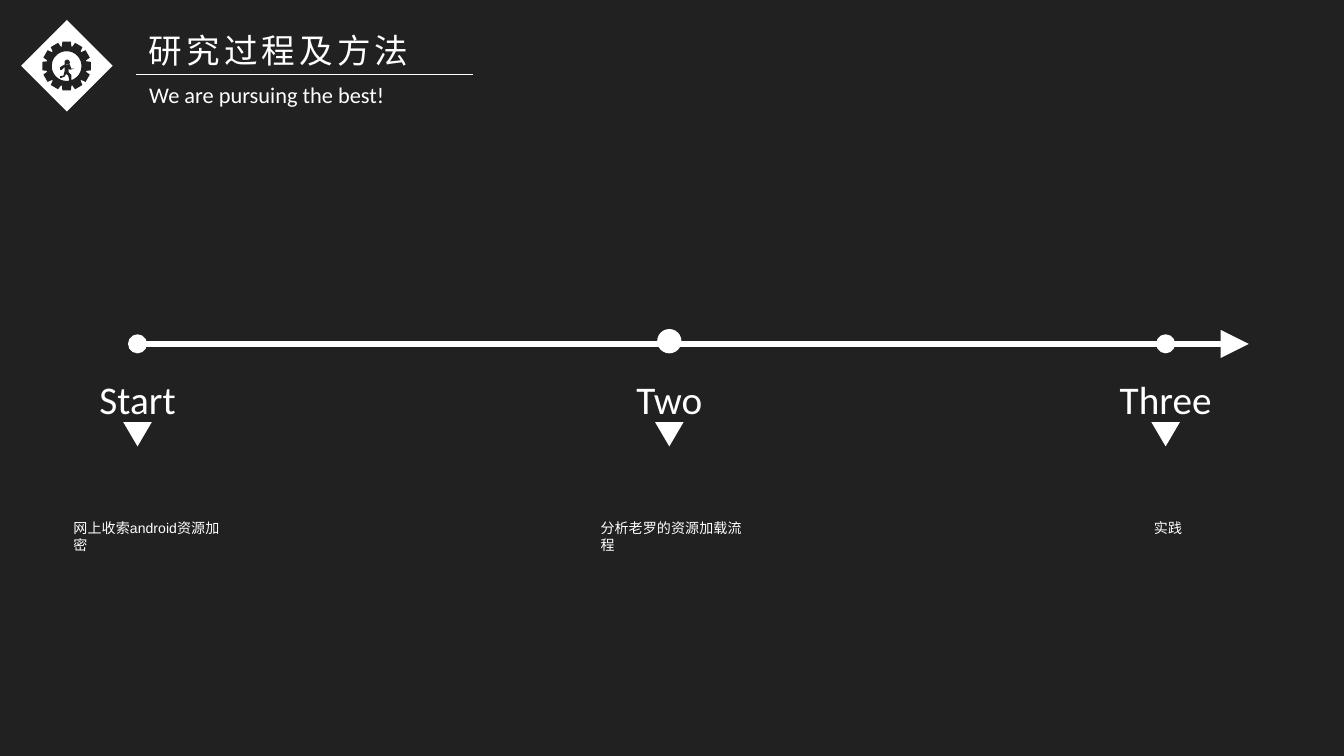
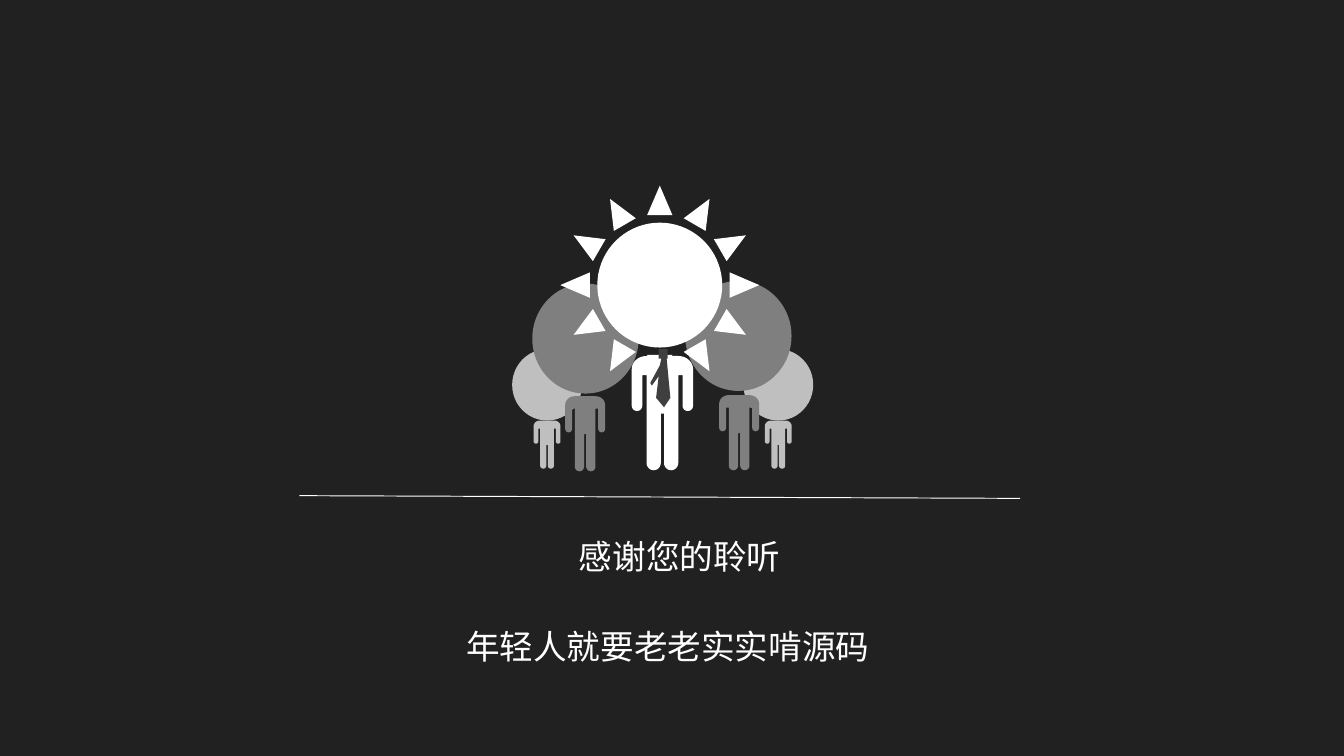
"""Builds a timeline slide and a closing slide in white on charcoal."""
from math import cos, pi, sin

from lxml import etree
from pptx import Presentation
from pptx.dml.color import RGBColor
from pptx.enum.shapes import MSO_CONNECTOR, MSO_SHAPE
from pptx.enum.text import MSO_AUTO_SIZE, PP_ALIGN
from pptx.oxml.ns import qn
from pptx.util import Cm, Pt

STRAIGHT = MSO_CONNECTOR.STRAIGHT
DIAMOND, OVAL, TRIANGLE = MSO_SHAPE.DIAMOND, MSO_SHAPE.OVAL, MSO_SHAPE.ISOSCELES_TRIANGLE
FIT = MSO_AUTO_SIZE.SHAPE_TO_FIT_TEXT
LEFT, CENTER = PP_ALIGN.LEFT, PP_ALIGN.CENTER

CHARCOAL = RGBColor(0x21, 0x21, 0x21)
WHITE = RGBColor(0xFF, 0xFF, 0xFF)
LIGHT = RGBColor(0xBF, 0xBF, 0xBF)
MID = RGBColor(0x7F, 0x7F, 0x7F)
TIE_GREY = RGBColor(0x3F, 0x3F, 0x3F)
CJK = "Noto Sans CJK SC"

TITLE = "研究过程及方法"
SUBTITLE = "We are pursuing the best!"
AXIS_Y = 6.5
LABEL_WIDTH = 2.6
STAGES = [
    # label, centre, dot size, dot centre, note, note left, note width, note font
    ("Start", 2.6, 0.36, 6.5, "网上收索android资源加密", 1.14, 3.33, "Arial"),
    ("Two", 12.65, 0.46, 6.45, "分析老罗的资源加载流程", 11.1, 3.33, CJK),
    ("Three", 22.03, 0.36, 6.5, "实践", 21.56, 1.37, CJK),
]
CLOSING = [
    ("感谢您的聆听", 10.69, 10.01, 4.37),
    ("年轻人就要老老实实啃源码", 8.56, 11.71, 8.2),
]
CROWD = [
    (LIGHT, (9.68, 6.6, 1.32, 1.35), (10.34, 7.95, 0.51, 0.91)),
    (LIGHT, (14.05, 6.6, 1.32, 1.35), (14.71, 7.95, 0.51, 0.91)),
    (MID, (10.06, 5.36, 2.01, 2.08), (11.06, 7.49, 0.76, 1.42)),
    (MID, (12.95, 5.31, 2.01, 2.08), (13.97, 7.47, 0.76, 1.42)),
]
LEADER = (12.52, 6.73, 1.17, 2.16)
SUN = (12.47, 5.39)
GEAR = (1.26, 1.25)
RUNNER = [
    (1.14, 1.32), (1.14, 1.27), (1.22, 1.22), (1.32, 1.22), (1.35, 1.3), (1.4, 1.3),
    (1.32, 1.32), (1.3, 1.3), (1.3, 1.37), (1.35, 1.42), (1.35, 1.51), (1.31, 1.52),
    (1.29, 1.43), (1.25, 1.4), (1.22, 1.45), (1.14, 1.48), (1.14, 1.44), (1.2, 1.43),
    (1.22, 1.35), (1.22, 1.27), (1.19, 1.3), (1.17, 1.32),
]
TIE = [
    (12.45, 6.6), (12.62, 6.6), (12.62, 6.78), (12.6, 6.78), (12.67, 7.52),
    (12.55, 7.7), (12.4, 7.52), (12.45, 7.11), (12.32, 7.29), (12.29, 7.24),
    (12.47, 6.91), (12.5, 6.78), (12.45, 6.78),
]


def paint(sp, color):
    sp.shadow.inherit = False
    sp.fill.solid()
    sp.fill.fore_color.rgb = color
    sp.line.fill.background()
    return sp


def shape(s, kind, box, color=WHITE):
    return paint(s.shapes.add_shape(kind, *map(Cm, box)), color)


def outline(s, contours, color):
    paths = [[(Cm(x), Cm(y)) for x, y in c] for c in contours]
    fb = s.shapes.build_freeform(*paths[0][0], scale=1.0)
    for i, path in enumerate(paths):
        if i:
            fb.move_to(*path[0])
        fb.add_line_segments(path[1:], close=True)
    return paint(fb.convert_to_shape(), color)


def line(s, x1, y1, x2, y2, width=0.5, arrow=False):
    c = s.shapes.add_connector(STRAIGHT, Cm(x1), Cm(y1), Cm(x2), Cm(y2))
    c.line.color.rgb = WHITE
    c.line.width = Pt(width)
    if arrow:
        etree.SubElement(c.line._get_or_add_ln(), qn("a:tailEnd"),
                         type="triangle", w="lg", len="lg")
    etree.SubElement(c._element.spPr, qn("a:effectLst"))


def text(s, words, box, size, font="Calibri", align=LEFT, wrap=True):
    tf = s.shapes.add_textbox(*map(Cm, box)).text_frame
    tf.word_wrap = wrap
    tf.auto_size = FIT
    p = tf.paragraphs[0]
    p.add_run().text = words
    p.alignment = align
    p.font.size = Pt(size)
    p.font.name = font
    p.font.color.rgb = WHITE
    return p


def arc(cx, cy, rx, ry, start, end, steps):
    angles = [start + (end - start) * i / steps for i in range(steps + 1)]
    return [(cx + rx * cos(a), cy + ry * sin(a)) for a in angles]


def circle(cx, cy, r):
    return arc(cx, cy, r, r, 0, 2 * pi, 72)[:-1]


def around(center, points):
    """Repeats (radius, offset) points in twelve directions, from the top."""
    cx, cy = center
    turns = [i * pi / 6 for i in range(12)]
    return [[(cx + r * sin(a) + d * cos(a), cy - r * cos(a) + d * sin(a))
             for r, d in points] for a in turns]


def gear(s):
    teeth = around(GEAR, [(0.37, -0.09), (0.46, -0.08), (0.46, 0.08), (0.37, 0.09)])
    rim = [point for tooth in teeth for point in tooth]
    outline(s, [rim, circle(*GEAR, 0.28), RUNNER, circle(1.27, 1.18, 0.05)], CHARCOAL)


def person(s, cx, top, width, height, color):
    half = arc(0.3, 0.25, 0.28, 0.25, -pi / 2, 0, 10)
    half += arc(0.48, 0.94, 0.1, 0.1, 0, pi, 12)
    half += [(0.38, 0.36), (0.3, 0.36)]
    half += arc(0.165, 2.02, 0.135, 0.14, 0, pi, 12) + [(0.03, 1.09)]
    body = half + [(-x, y) for x, y in reversed(half)]
    sx, sy = width / 1.17, height / 2.16
    outline(s, [[(cx + x * sx, top + y * sy) for x, y in body]], color)


def new_slide(prs):
    s = prs.slides.add_slide(prs.slide_layouts[6])
    s.background.fill.solid()
    s.background.fill.fore_color.rgb = CHARCOAL
    return s


def timeline_slide(prs):
    s = new_slide(prs)
    shape(s, DIAMOND, (0.4, 0.38, 1.73, 1.73))
    p = text(s, TITLE, (2.56, 0.53, 6.38, 0.94), 18)
    p.line_spacing = 0.9
    p.runs[0]._r.get_or_add_rPr().set("spc", "220")
    text(s, SUBTITLE, (2.57, 1.4, 6.4, 0.76), 12)
    gear(s)
    line(s, 2.57, 1.4, 8.94, 1.4)
    line(s, 2.67, AXIS_Y, 23.6, AXIS_Y, 3, arrow=True)
    for label, cx, dot, dot_y, note, left, width, font in STAGES:
        shape(s, OVAL, (cx - dot / 2, dot_y - dot / 2, dot, dot))
        text(s, label, (cx - LABEL_WIDTH / 2, 6.97, LABEL_WIDTH, 1.14), 21,
             align=CENTER, wrap=False)
        marker = shape(s, TRIANGLE, (cx - 0.27, 7.98, 0.54, 0.46))
        marker._element.spPr.get_or_add_xfrm().set("flipV", "1")
        text(s, note, (left, 9.69, width, 0.89), 7.5, font)


def closing_slide(prs):
    s = new_slide(prs)
    for color, head, body in CROWD:
        shape(s, OVAL, head, color)
        person(s, *body, color)
    person(s, *LEADER, WHITE)
    rays = around(SUN, [(1.32, -0.24), (1.88, 0), (1.32, 0.24)])
    outline(s, [circle(*SUN, 1.18)] + rays, WHITE)
    outline(s, [TIE], TIE_GREY)
    line(s, 5.66, 9.37, 19.28, 9.42)
    for words, left, top, width in CLOSING:
        text(s, words, (left, top, width, 1.02), 18, CJK, wrap=False)


def main():
    prs = Presentation()
    prs.slide_width, prs.slide_height = Cm(25.4), Cm(14.29)
    timeline_slide(prs)
    closing_slide(prs)
    prs.save("out.pptx")


if __name__ == "__main__":
    main()
